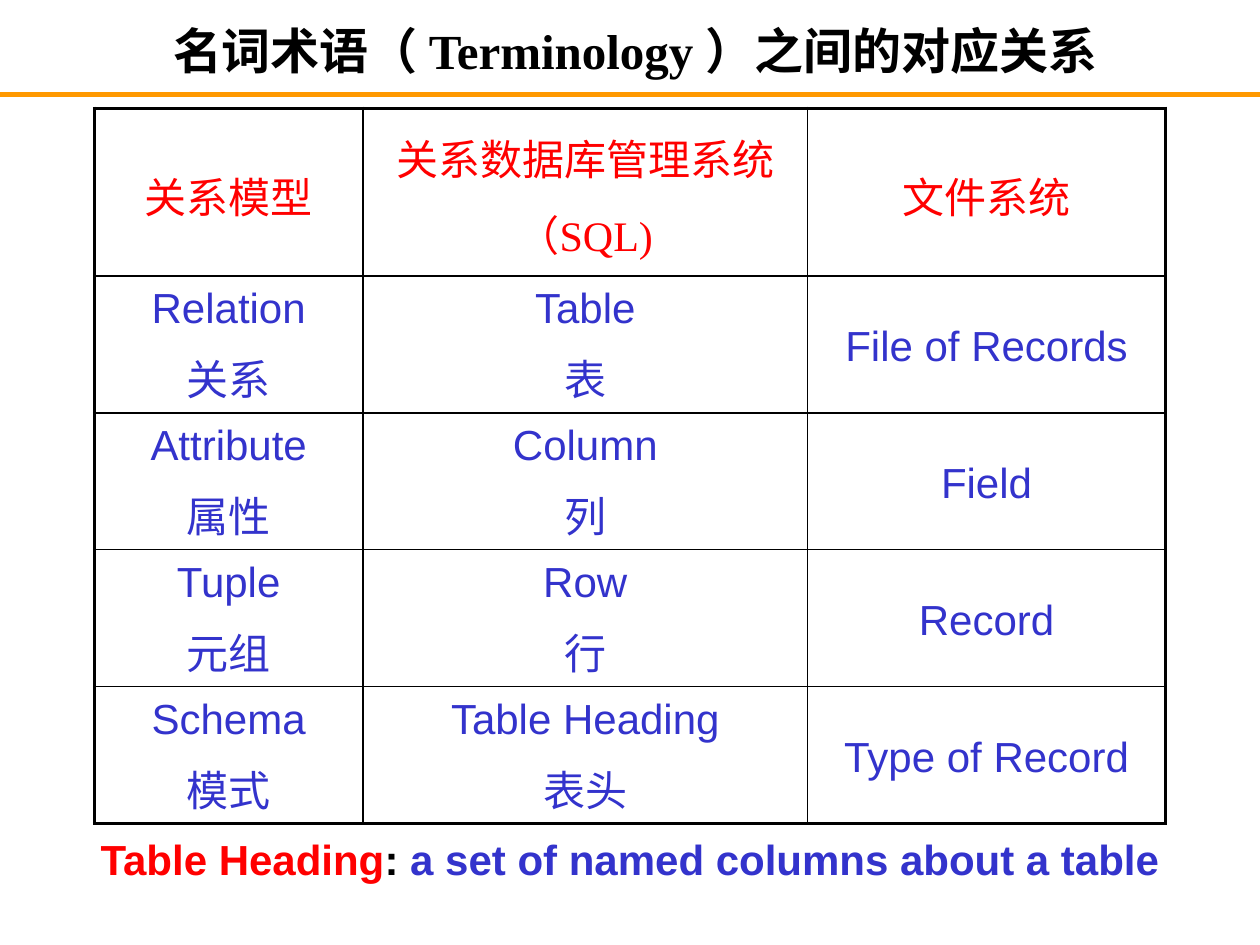
"""Build a slide with a table matching relational, SQL and file system terms."""
from lxml import etree
from pptx import Presentation
from pptx.dml.color import RGBColor
from pptx.enum.shapes import MSO_CONNECTOR
from pptx.enum.text import MSO_ANCHOR, PP_ALIGN
from pptx.oxml.ns import qn
from pptx.util import Inches, Pt

CENTER = PP_ALIGN.CENTER
MIDDLE = MSO_ANCHOR.MIDDLE
STRAIGHT = MSO_CONNECTOR.STRAIGHT
COLORS = {"black": "000000", "white": "FFFFFF", "red": "FF0000",
          "blue": "3333CC", "orange": "FF9900"}
COLUMN_WIDTHS = [2.13, 3.53, 2.84]
ROW_HEIGHTS = [1.33, 0.8, 0.8, 0.8, 0.8]
TERMS = [
    ["关系模型", "关系数据库管理系统\n（SQL)", "文件系统"],
    ["Relation\n关系", "Table\n表", "File of Records"],
    ["Attribute\n属性", "Column\n列", "Field"],
    ["Tuple\n元组", "Row\n行", "Record"],
    ["Schema\n模式", "Table Heading\n表头", "Type of Record"],
]


def style_run(run, font_name, size, color, bold=False):
    run.font.name = font_name
    run.font.size = Pt(size)
    run.font.bold = bold
    run.font.color.rgb = RGBColor.from_string(COLORS[color])


def set_borders(cell, widths):
    properties = cell._tc.get_or_add_tcPr()
    for position, (side, width) in enumerate(widths.items()):
        line = etree.Element(qn(f"a:ln{side}"), w=str(Pt(width)))
        fill = etree.SubElement(line, qn("a:solidFill"))
        etree.SubElement(fill, qn("a:srgbClr"), val=COLORS["black"])
        properties.insert(position, line)


presentation = Presentation()
presentation.slide_width = Inches(10)
presentation.slide_height = Inches(7.5)
slide = presentation.slides.add_slide(presentation.slide_layouts[6])

rule = slide.shapes.add_connector(
    STRAIGHT, Inches(0), Inches(0.75), Inches(10), Inches(0.75))
rule.line.color.rgb = RGBColor.from_string(COLORS["orange"])
rule.line.width = Pt(3)
etree.SubElement(rule._element.spPr, qn("a:effectLst"))

last_row, last_column = len(ROW_HEIGHTS) - 1, len(COLUMN_WIDTHS) - 1
table = slide.shapes.add_table(
    len(ROW_HEIGHTS), len(COLUMN_WIDTHS), Inches(0.75), Inches(0.86),
    Inches(sum(COLUMN_WIDTHS)), Inches(sum(ROW_HEIGHTS))).table
for column, width in zip(table.columns, COLUMN_WIDTHS):
    column.width = Inches(width)
for row, height in zip(table.rows, ROW_HEIGHTS):
    row.height = Inches(height)

for row_index, row_terms in enumerate(TERMS):
    font_name, color = ("Arial", "blue") if row_index else ("Times New Roman", "red")
    for column_index, term in enumerate(row_terms):
        cell = table.cell(row_index, column_index)
        cell.text_frame.text = term
        cell.vertical_anchor = MIDDLE
        cell.margin_left = cell.margin_right = Inches(0)
        cell.margin_top = cell.margin_bottom = Inches(0.04)
        cell.fill.solid()
        cell.fill.fore_color.rgb = RGBColor.from_string(COLORS["white"])
        set_borders(cell, {
            "L": 2.25 if column_index == 0 else 1,
            "R": 2.25 if column_index == last_column else 1,
            "T": 2.25 if row_index == 0 else 1,
            "B": 2.25 if row_index == last_row else 1,
        })
        for paragraph_index, paragraph in enumerate(cell.text_frame.paragraphs):
            paragraph.alignment = CENTER
            paragraph.line_spacing = 1.1
            if paragraph_index:
                paragraph.space_before = Pt(4.8)
            style_run(paragraph.runs[0], font_name, 24, color)

title = slide.shapes.add_textbox(Inches(0.75), Inches(0.11), Inches(8.58), Inches(0.57))
title.text_frame.word_wrap = True
title_paragraph = title.text_frame.paragraphs[0]
title_paragraph.text = "名词术语（ Terminology ）之间的对应关系"
title_paragraph.alignment = CENTER
style_run(title_paragraph.runs[0], "Times New Roman", 28, "black", bold=True)

note = slide.shapes.add_textbox(Inches(0), Inches(6.57), Inches(10), Inches(0.5))
note.text_frame.word_wrap = True
note.text_frame.margin_left = note.text_frame.margin_right = Inches(0)
note_paragraph = note.text_frame.paragraphs[0]
note_paragraph.alignment = CENTER
for text, color in [("Table Heading", "red"), (": ", "black"),
                    ("a set of named columns about a table", "blue")]:
    run = note_paragraph.add_run()
    run.text = text
    style_run(run, "Arial", 24, color, bold=True)

presentation.save("out.pptx")
